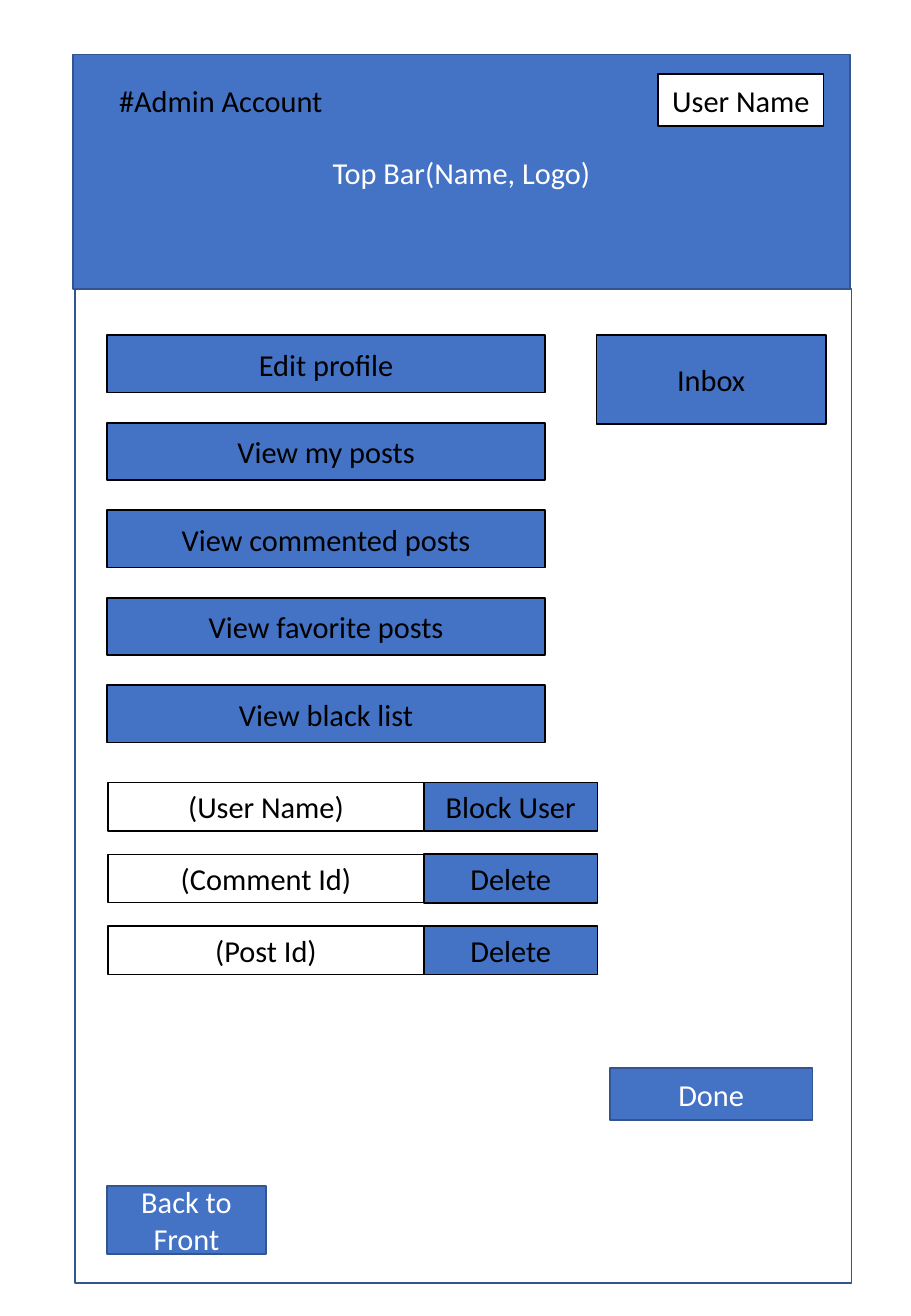
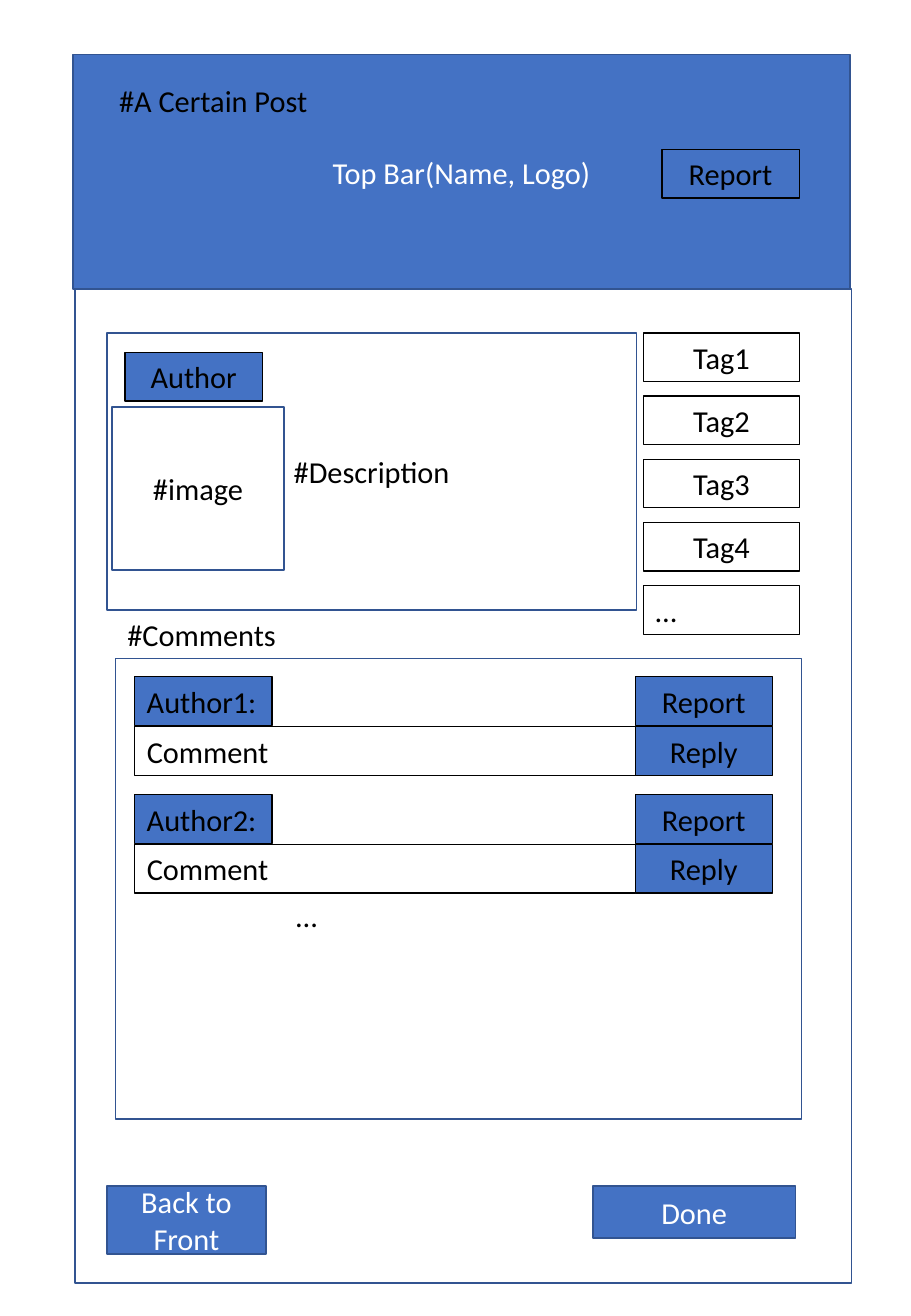
from dataclasses import dataclass
from typing import Optional

from pptx import Presentation
from pptx.dml.color import RGBColor as RGB
from pptx.enum.shapes import MSO_SHAPE as SHAPE
from pptx.enum.text import MSO_ANCHOR as ANCHOR, MSO_AUTO_SIZE as AUTO, PP_ALIGN as ALIGN
from pptx.util import Inches, Pt


@dataclass(frozen=True)
class Theme:
    """Colours, font and sizes shared by the slides."""
    blue: RGB = RGB(0x44, 0x72, 0xC4)
    navy: RGB = RGB(0x32, 0x54, 0x91)
    black: RGB = RGB(0, 0, 0)
    white: RGB = RGB(255, 255, 255)
    font: str = "Calibri"
    size: int = 18
    thin: float = 0.75
    thick: float = 1


T = Theme()


@dataclass(frozen=True)
class Style:
    """Fill, outline and text colour of a rectangle."""
    fill: Optional[RGB]
    line: RGB
    ink: RGB
    width: float


BAR = Style(T.blue, T.navy, T.white, T.thick)
PANEL = Style(T.white, T.navy, T.black, T.thick)
FRAME = Style(None, T.navy, T.black, T.thick)
BUTTON = Style(T.blue, T.black, T.black, T.thick)
CHIP = Style(T.blue, T.black, T.black, T.thin)
FIELD = Style(None, T.black, T.black, T.thin)
BADGE = Style(T.white, T.black, T.black, T.thick)


@dataclass(frozen=True)
class Box:
    """A rectangle on the slide, in inches."""
    x: float
    y: float
    w: float
    h: float

    def sub(self, x, y, w, h):
        """Return a box placed relative to this one."""
        return Box(self.x + x, self.y + y, w, h)

    def lengths(self):
        """Return left, top, width and height as lengths."""
        return [Inches(v) for v in (self.x, self.y, self.w, self.h)]


TOP = Box(0.6, 0.45, 6.4, 1.93)
BODY = Box(0.62, 2.38, 6.39, 8.18)


def write(tf, text, ink, align):
    """Put one formatted paragraph into a text frame."""
    tf.text = text
    p = tf.paragraphs[0]
    p.alignment = align
    p.font.name, p.font.size, p.font.bold = T.font, Pt(T.size), False
    p.font.color.rgb = ink


def rect(slide, box, style, text="", align=ALIGN.CENTER):
    """Draw a rectangle with optional text."""
    sp = slide.shapes.add_shape(SHAPE.RECTANGLE, *box.lengths())
    sp.shadow.inherit = False
    if style.fill is None:
        sp.fill.background()
    else:
        sp.fill.solid()
        sp.fill.fore_color.rgb = style.fill
    sp.line.color.rgb = style.line
    sp.line.width = Pt(style.width)
    if text:
        sp.text_frame.vertical_anchor = ANCHOR.MIDDLE
        write(sp.text_frame, text, style.ink, align)
    return sp


def label(slide, box, text):
    """Add a plain wrapped label."""
    tf = slide.shapes.add_textbox(*box.lengths()).text_frame
    tf.word_wrap = True
    write(tf, text, T.black, ALIGN.LEFT)


def page(prs, title, done):
    """Add a slide with top bar, body frame, title and footer buttons."""
    slide = prs.slides.add_slide(prs.slide_layouts[5])
    bar = rect(slide, TOP, BAR, "Top Bar(Name, Logo)")
    rect(slide, BODY, FRAME)
    sp = slide.shapes.title
    bar.element.addnext(sp.element)
    sp.left, sp.top, sp.width, sp.height = TOP.sub(0.28, 0.18, 1.9, 0.4).lengths()
    tf = sp.text_frame
    tf.word_wrap, tf.auto_size, tf.vertical_anchor = False, AUTO.NONE, ANCHOR.TOP
    write(tf, title, T.black, ALIGN.LEFT)
    rect(slide, BODY.sub(0.26, 7.38, 1.31, 0.56), BAR, "Back to Front")
    rect(slide, done, BAR, "Done")
    return slide


def menu(slide, box, items):
    """Stack the account buttons."""
    for i, text in enumerate(items):
        rect(slide, box.sub(0, 0.72 * i, box.w, 0.47), BUTTON, text)


def moderation(slide, box, rows):
    """Stack rows of an entry field and its action button."""
    for i, (field, action) in enumerate(rows):
        row = box.sub(0, 0.59 * i, box.w, 0.4)
        rect(slide, row.sub(0, 0, 2.6, row.h), FIELD, field)
        rect(slide, row.sub(2.6, 0, row.w - 2.6, row.h), BUTTON, action)


def tag_list(slide, box, tags):
    """Stack the tags, ending with an ellipsis."""
    for i, tag in enumerate(tags):
        align = ALIGN.LEFT if tag == "…" else ALIGN.CENTER
        rect(slide, box.sub(0, 0.52 * i, box.w, 0.4), FIELD, tag, align)


def post(slide, box):
    """Draw the post with its author, image and description."""
    rect(slide, box, PANEL, "#Description")
    rect(slide, box.sub(0.04, 0.61, 1.42, 1.34), PANEL, "#image")
    rect(slide, box.sub(0.15, 0.16, 1.13, 0.4), CHIP, "Author")


def comment(slide, box, author):
    """Draw one comment with its author and action buttons."""
    chip_w, line_h = 1.13, 0.4
    right, low = box.w - chip_w, box.h - line_h
    rect(slide, box.sub(0, 0, chip_w, line_h), CHIP, author, ALIGN.LEFT)
    rect(slide, box.sub(0, low, right, line_h), FIELD, "Comment", ALIGN.LEFT)
    for y, action in ((0, "Report"), (low, "Reply")):
        rect(slide, box.sub(right, y, chip_w, line_h), CHIP, action)


def comments(slide, box, authors):
    """Draw the comments panel with its heading."""
    label(slide, box.sub(0, -0.4, 1.79, 0.4), "#Comments")
    rect(slide, box, PANEL)
    for i, author in enumerate(authors):
        comment(slide, box.sub(0.16, 0.15 + 0.97 * i, 5.25, 0.81), author)
    label(slide, box.sub(1.39, 1.91, 0.87, 0.4), "…")


def account_slide(prs):
    """Build the administrator account page."""
    slide = page(prs, "#Admin Account", BODY.sub(4.4, 6.41, 1.67, 0.43))
    rect(slide, TOP.sub(4.82, 0.16, 1.36, 0.43), BADGE, "User Name")
    menu(slide, BODY.sub(0.26, 0.38, 3.61, 3.35),
         ["Edit profile", "View my posts", "View commented posts",
          "View favorite posts", "View black list"])
    rect(slide, BODY.sub(4.29, 0.38, 1.89, 0.73), BUTTON, "Inbox")
    moderation(slide, BODY.sub(0.27, 4.06, 4.03, 1.58),
               [("(User Name)", "Block User"), ("(Comment Id)", "Delete"),
                ("(Post Id)", "Delete")])


def post_slide(prs):
    """Build the page of a single post."""
    slide = page(prs, "#A Certain Post", BODY.sub(4.26, 7.38, 1.67, 0.43))
    rect(slide, TOP.sub(4.85, 0.78, 1.13, 0.4), CHIP, "Report")
    tag_list(slide, BODY.sub(4.68, 0.36, 1.28, 2.46),
             ["Tag1", "Tag2", "Tag3", "Tag4", "…"])
    post(slide, BODY.sub(0.26, 0.36, 4.36, 2.28))
    comments(slide, BODY.sub(0.33, 3.04, 5.65, 3.79), ["Author1:", "Author2:"])


def main():
    """Build and save the presentation."""
    prs = Presentation()
    prs.slide_width, prs.slide_height = Inches(7.5), Inches(10.83)
    account_slide(prs)
    post_slide(prs)
    prs.save("out.pptx")


if __name__ == "__main__":
    main()
